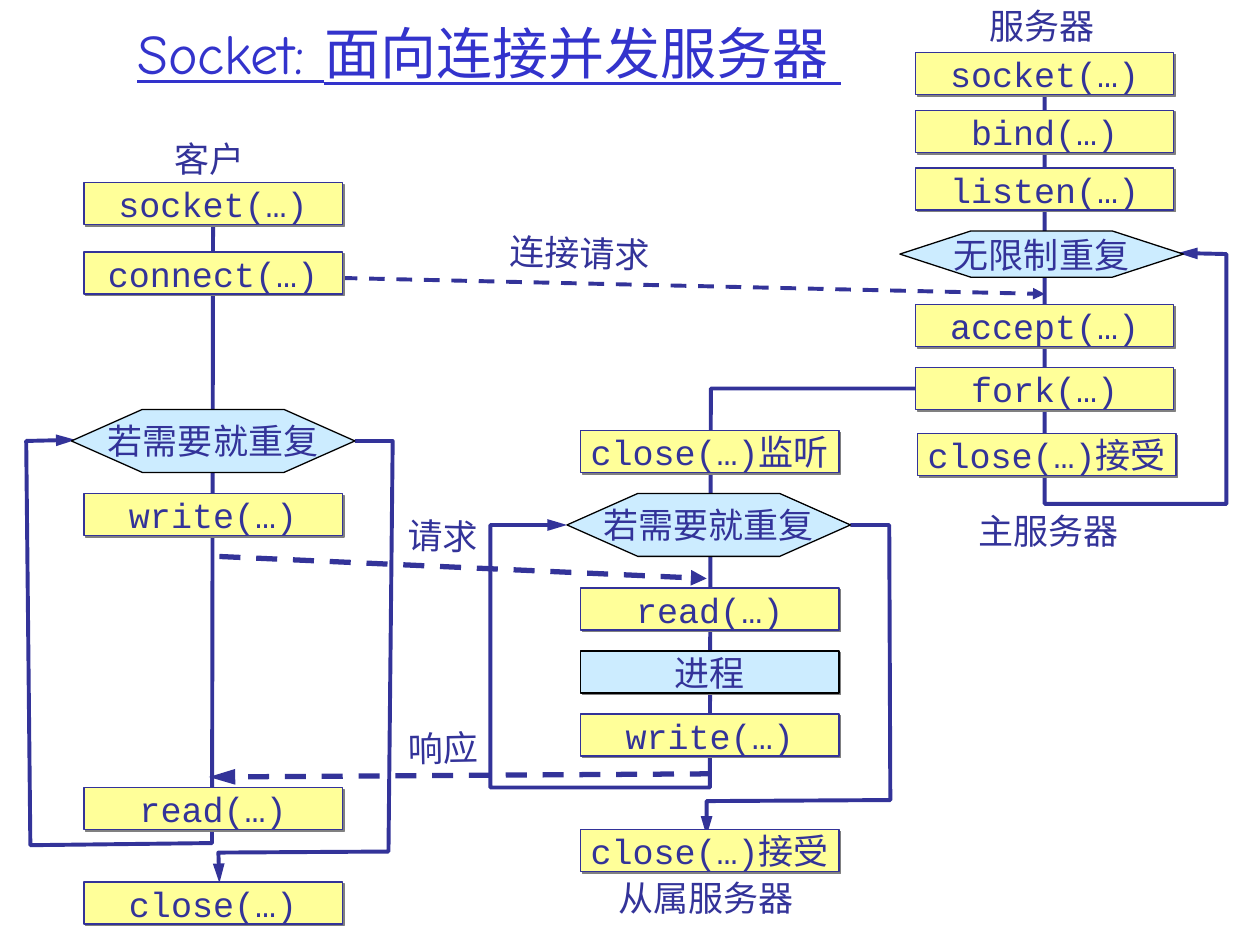
from lxml.etree import SubElement
from pptx import Presentation
from pptx.dml.color import RGBColor
from pptx.enum.dml import MSO_LINE_DASH_STYLE as Dash
from pptx.enum.shapes import MSO_CONNECTOR as Connector, MSO_SHAPE as Shape
from pptx.enum.text import MSO_ANCHOR as Anchor, MSO_AUTO_SIZE as AutoSize, PP_ALIGN as Align
from pptx.oxml.ns import qn
from pptx.util import Inches, Pt

CELL = Inches(1) / 12
NAVY, BLUE, YELLOW, SKY, BLACK, GREY = "333399", "3333CC", "FFFF99", "CCECFF", "000000", "808080"
BOX_WIDTH, BOX_HEIGHT = 24.6, 4
HEXAGON_WIDTH, LABEL_HEIGHT = 27, 5.3

CALLS = {
    8: [(17.4, "socket(…)"), (24, "connect(…)"), (47, "write(…)"), (75, "read(…)"), (84, "close(…)")],
    55.3: [(41, "close(…)监听"), (56, "read(…)"), (68, "write(…)"), (79, "close(…)接受")],
    87.2: [(5, "socket(…)"), (10.5, "bind(…)"), (16, "listen(…)"), (29, "accept(…)"), (35, "fork(…)")],
    87.4: [(41.3, "close(…)接受")],
}
HEXAGONS = [
    (85.7, 22, 4.4, "无限制重复"),
    (6.8, 39, 6, "若需要就重复"),
    (54, 47, 6, "若需要就重复"),
]
FLOWS = [
    [(88.4, 37), (67.7, 37), (67.6, 75), (46.7, 75), (46.7, 50), (54, 50)],
    [(20.3, 21.5), (20.2, 80.3), (2.9, 80.5), (2.5, 42), (7.2, 41.9)],
    [(99.5, 9.1), (99.5, 48), (116.8, 48), (116.8, 24.2), (112.2, 24.1)],
    [(33.8, 42), (37.4, 42), (37, 81.1), (20.8, 81.2), (20.9, 84.1)],
    [(81, 50), (84.7, 50), (84.8, 76.2), (67.3, 76.3), (67.3, 79.6)],
]
MESSAGES = [
    ((24.7, 26.3), (99.5, 28), 2.25, "med"),
    ((20.9, 53), (67.3, 55.1), 3, "med"),
    ((67.7, 73.7), (19.9, 74), 3, "lg"),
]
LABELS = [
    (93, -0.2, 12.4, 0, "服务器"),
    (15.5, 12.5, 9, 0, "客户"),
    (47.4, 21.5, 15.7, 1.8, "连接请求"),
    (37.7, 48.4, 9, 1.8, "请求"),
    (37.7, 68.6, 9, -1.1, "响应"),
    (92, 47.9, 15.7, 0, "主服务器"),
    (57.7, 82.9, 19.1, 0, "从属服务器"),
]


def grid(*cells):
    """Turn grid cells into whole EMU lengths."""
    return [round(cell * CELL) for cell in cells]


def color(hex_value):
    """Return the colour of a hex string."""
    return RGBColor.from_string(hex_value)


def write(shape, text, size=20, name="Courier New", hex_value=NAVY, underline=None):
    """Put one centred, unwrapped line of text in a shape."""
    frame = shape.text_frame
    frame.word_wrap = False
    paragraph = frame.paragraphs[0]
    paragraph.alignment = Align.CENTER
    run = paragraph.add_run()
    run.text = text
    for key, value in {"size": Pt(size), "name": name, "underline": underline}.items():
        setattr(run.font, key, value)
    run.font.color.rgb = color(hex_value)


def outline(shape, hex_value, width):
    """Give a shape or connector its line."""
    shape.line.color.rgb = color(hex_value)
    shape.line.width = Pt(width)


def arrowhead(shape, length):
    """End a line with a triangle of the given length."""
    SubElement(shape.line._get_or_add_ln(), qn("a:tailEnd"), type="triangle", len=length)


def drop_shadow(shape):
    """Add a small hard grey shadow at the lower right."""
    effects = shape._element.spPr.find(qn("a:effectLst"))
    shadow = SubElement(effects, qn("a:outerShdw"), dist=str(Pt(1.4)), dir="2700000",
                        algn="ctr", rotWithShape="0")
    SubElement(shadow, qn("a:srgbClr"), val=GREY)


def add_block(slide, kind, place, text, fill, line):
    """Add a filled shape with centred text."""
    shape = slide.shapes.add_shape(kind, *grid(*place))
    shape.shadow.inherit = False
    shape.fill.solid()
    shape.fill.fore_color.rgb = color(fill)
    outline(shape, line, 0.75)
    shape.text_frame.vertical_anchor = Anchor.MIDDLE
    write(shape, text)
    return shape


def add_box(slide, left, top, text, fill=YELLOW, line=NAVY):
    """Add a shadowed step box."""
    place = left, top, BOX_WIDTH, BOX_HEIGHT
    drop_shadow(add_block(slide, Shape.RECTANGLE, place, text, fill, line))


def add_hexagon(slide, left, top, height, text):
    """Add a loop hexagon whose points take a quarter of its width each."""
    place = left, top, HEXAGON_WIDTH, height
    shape = add_block(slide, Shape.HEXAGON, place, text, SKY, BLACK)
    shape.adjustments[0] = HEXAGON_WIDTH / 4 / height


def add_flow(slide, points):
    """Add an open bent path that ends in an arrow."""
    start, *rest = [grid(*point) for point in points]
    builder = slide.shapes.build_freeform(*start)
    builder.add_line_segments(rest, close=False)
    shape = builder.convert_to_shape()
    shape.shadow.inherit = False
    shape.fill.background()
    outline(shape, NAVY, 2.25)
    arrowhead(shape, "lg")


def add_message(slide, start, end, width, head_length):
    """Add a dashed arrow between two processes."""
    connector = slide.shapes.add_connector(Connector.STRAIGHT, *grid(*start, *end))
    outline(connector, NAVY, width)
    connector.line.dash_style = Dash.DASH
    arrowhead(connector, head_length)
    SubElement(connector._element.spPr, qn("a:effectLst"))


def add_label(slide, left, top, width, rotation, text):
    """Add a free label without side margins, turned by some degrees."""
    box = slide.shapes.add_textbox(*grid(left, top, width, LABEL_HEIGHT))
    box.rotation = rotation
    write(box, text)
    for key, value in {"margin_left": 0, "margin_right": 0, "auto_size": AutoSize.NONE}.items():
        setattr(box.text_frame, key, value)


def add_title(slide):
    """Add the underlined heading."""
    box = slide.shapes.add_textbox(*grid(9.7, 1.9, 73.8, 6.2))
    box.text_frame.vertical_anchor = Anchor.MIDDLE
    write(box, "Socket: 面向连接并发服务器 ", 32, "Comic Neue", BLUE, True)


def main():
    """Build the slide and save it."""
    presentation = Presentation()
    presentation.slide_width, presentation.slide_height = grid(120, 90)
    slide = presentation.slides.add_slide(presentation.slide_layouts[6])
    add_title(slide)
    for points in FLOWS:
        add_flow(slide, points)
    for message in MESSAGES:
        add_message(slide, *message)
    for left, calls in CALLS.items():
        for top, text in calls:
            add_box(slide, left, top, text)
    add_box(slide, 55.3, 62, "进程", SKY, BLACK)
    for hexagon in HEXAGONS:
        add_hexagon(slide, *hexagon)
    for label in LABELS:
        add_label(slide, *label)
    presentation.save("out.pptx")


if __name__ == "__main__":
    main()
